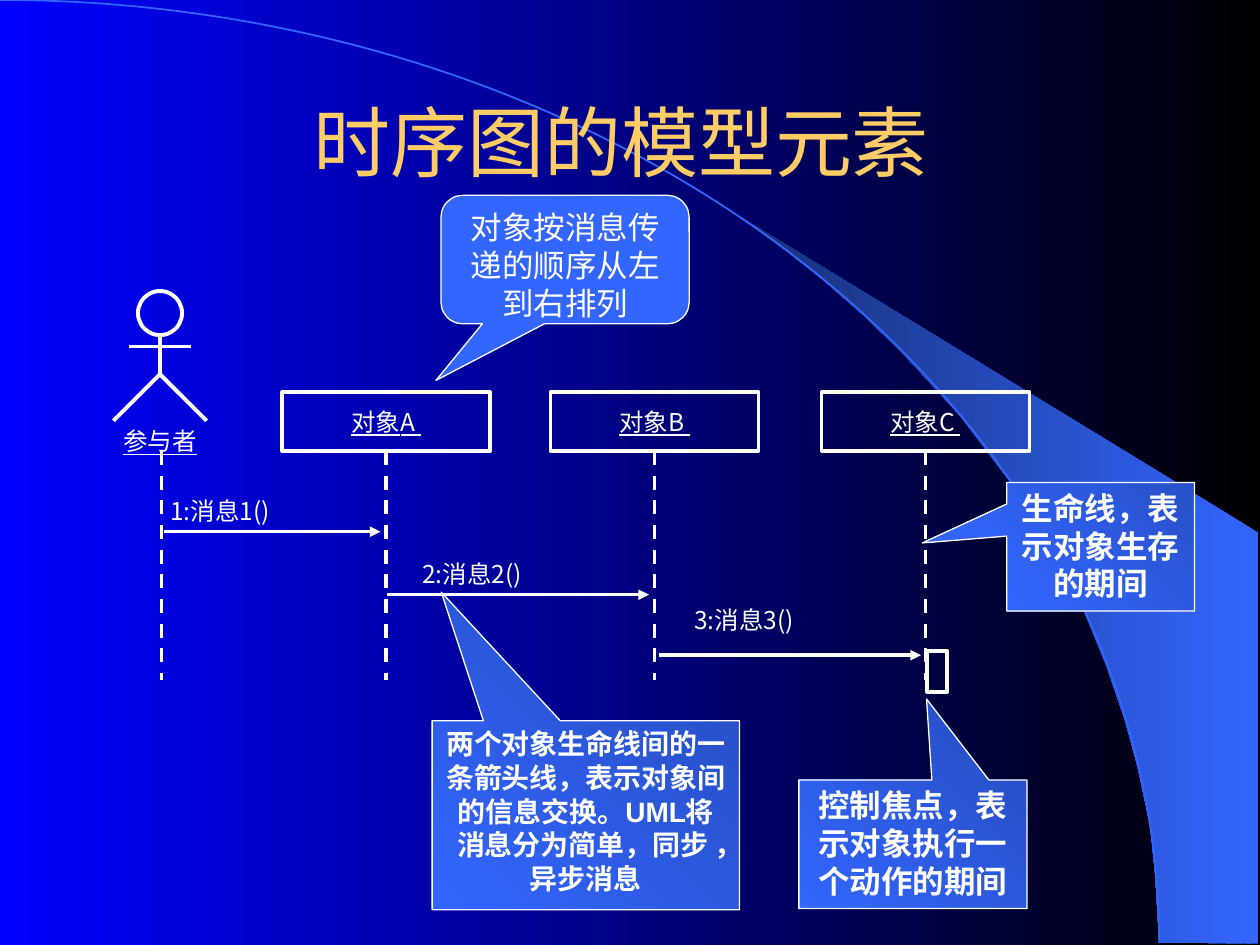
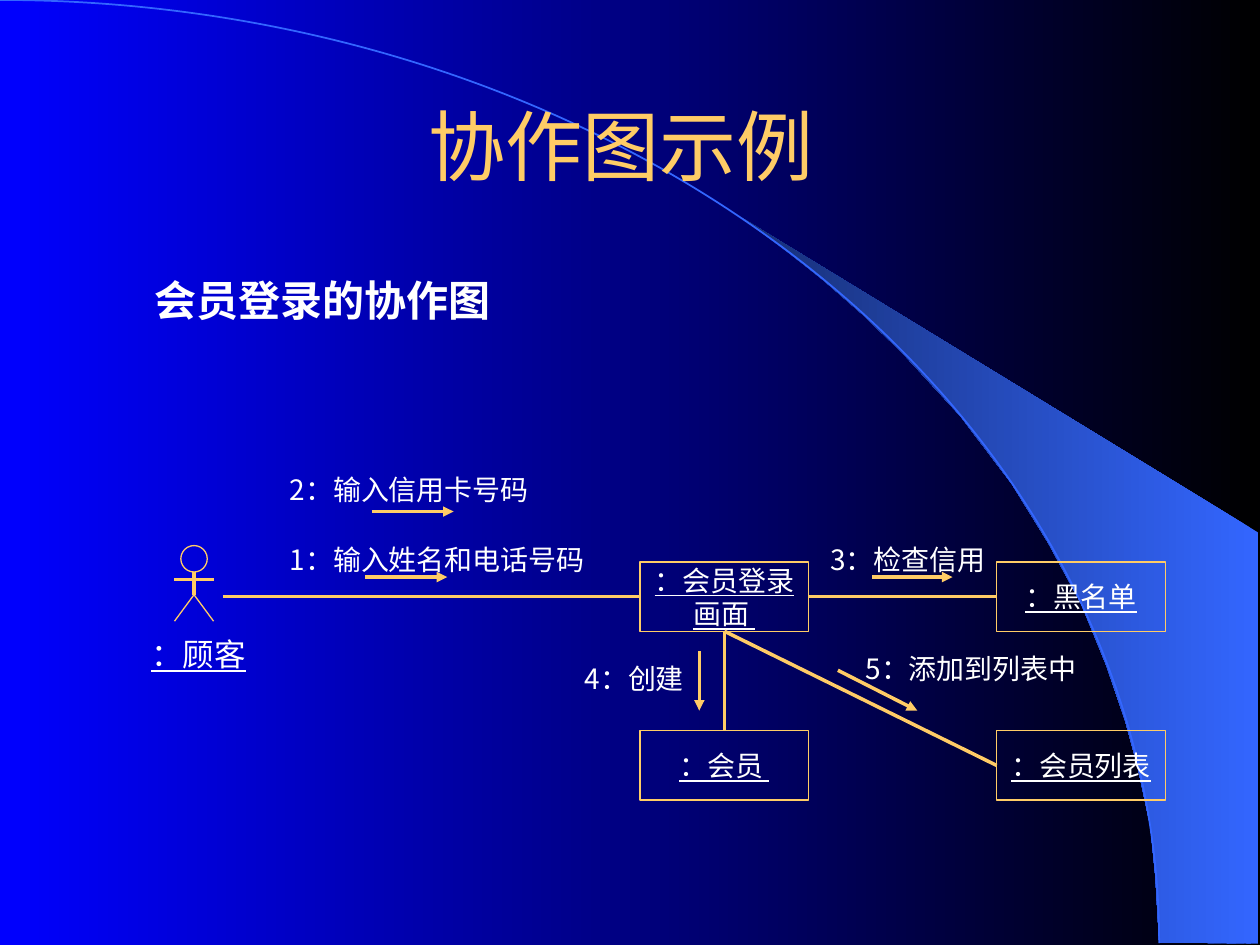
from dataclasses import dataclass

from lxml.etree import SubElement
from pptx import Presentation
from pptx.dml.color import RGBColor
from pptx.enum.dml import MSO_LINE
from pptx.enum.shapes import MSO_CONNECTOR, MSO_SHAPE
from pptx.enum.text import MSO_ANCHOR, PP_ALIGN
from pptx.oxml.ns import qn
from pptx.util import Inches, Pt

# Grid of 100 columns by 75 rows
COLUMNS, ROWS = 100, 75
CELL = Inches(10) / COLUMNS

WHITE, GOLD, SKY = "FFFFFF", "FFCC66", "3366FF"
NIGHT, BLUE, NAVY, ROYAL = "000000", "0000FF", "172F75", "2850C9"
CJK, LATIN = "Noto Sans CJK SC", "Arial"
TOP, LEFT, BOTTOM, RIGHT = range(4)

SWEEP = [(92, 74.8), (99.9, 74.9), (99.9, 42.3), (58.9, 17.3), (62.4, 19.9), (65.3, 22.2),
         (68.5, 25), (71.6, 28), (76.2, 33), (80.3, 38.4), (83.2, 43.1), (85.8, 47.9),
         (87.8, 52.8), (89.3, 57.2), (90.3, 60.9), (91.3, 65.6), (91.7, 69.6)]


@dataclass(frozen=True)
class Area:
    left: float
    top: float
    width: float
    height: float

    def lengths(self) -> list[int]:
        return [cells(n) for n in (self.left, self.top, self.width, self.height)]


@dataclass(frozen=True)
class Style:
    size: float
    color: str = WHITE
    font: str = CJK
    bold: bool = False
    underline: bool = False
    centered: bool = False
    middle: bool = False
    insets: tuple[float, float, float, float] = (0, 0, 0, 0)


@dataclass(frozen=True)
class Stroke:
    color: str
    width: float
    dashed: bool = False
    arrow: bool = False


@dataclass(frozen=True)
class Actor:
    center: float
    top: float
    head: float
    arms: float
    arm_reach: float
    hip: float
    foot: float
    leg_reach: float


@dataclass(frozen=True)
class Callout:
    text: str
    area: Area
    tip: tuple[float, ...]
    size: float
    rounded: bool = False


@dataclass(frozen=True)
class Message:
    text: str
    area: Area
    start: tuple[float, float]
    end: tuple[float, float]


PADDED = (1, 0.5, 1, 0.5)
TITLE = Style(44, GOLD, centered=True, middle=True, insets=PADDED)
OBJECT = Style(14, underline=True, centered=True, middle=True, insets=PADDED)
SEQUENCE_LABEL = Style(14, insets=(0, 0.4, 0, 0))
ACTOR_LABEL = Style(14, underline=True, insets=(0, 0.4, 0, 0.4))
NODE = Style(16, underline=True, centered=True, middle=True, insets=PADDED)
LINK_LABEL = Style(16)

SOLID = Stroke(WHITE, 2)
FIGURE = Stroke(WHITE, 2.25)
LIFELINE = Stroke(WHITE, 2, dashed=True)
CALL = Stroke(WHITE, 2, arrow=True)
HAIRLINE = Stroke(GOLD, 0)
HAIR_ARROW = Stroke(GOLD, 0, arrow=True)


def cells(count: float) -> int:
    return round(count * CELL)


def rgb(color: str) -> RGBColor:
    return RGBColor.from_string(color)


def apply_gradient(fill, first: str, last: str, angle: float) -> None:
    fill.gradient()
    fill.gradient_angle = angle
    for stop, color in zip(fill.gradient_stops, (first, last)):
        stop.color.rgb = rgb(color)


def apply_stroke(line, stroke: Stroke) -> None:
    line.color.rgb = rgb(stroke.color)
    line.width = Pt(stroke.width)
    if stroke.dashed:
        line.dash_style = MSO_LINE.DASH


def write(shape, text: str, style: Style) -> None:
    frame = shape.text_frame
    frame.text = text
    frame.word_wrap = True
    frame.vertical_anchor = MSO_ANCHOR.MIDDLE if style.middle else MSO_ANCHOR.TOP
    (frame.margin_left, frame.margin_top,
     frame.margin_right, frame.margin_bottom) = map(cells, style.insets)
    paragraph = frame.paragraphs[0]
    paragraph.alignment = PP_ALIGN.CENTER if style.centered else PP_ALIGN.LEFT
    for run in paragraph.runs:
        font = run.font
        font.size, font.name = Pt(style.size), style.font
        font.bold, font.underline = style.bold, style.underline
        font.color.rgb = rgb(style.color)
        SubElement(font._element, qn("a:ea"), typeface=CJK)


def add_label(slide, text: str, area: Area, style: Style) -> None:
    write(slide.shapes.add_textbox(*area.lengths()), text, style)


def add_outline(slide, kind, area: Area, stroke: Stroke):
    shape = slide.shapes.add_shape(kind, *area.lengths())
    shape.shadow.inherit = False
    shape.fill.background()
    apply_stroke(shape.line, stroke)
    return shape


def add_node(slide, text: str, area: Area, stroke: Stroke, style: Style):
    box = add_outline(slide, MSO_SHAPE.RECTANGLE, area, stroke)
    write(box, text, style)
    return box


def add_line(slide, start, end, stroke: Stroke):
    points = [cells(n) for n in (*start, *end)]
    connector = slide.shapes.add_connector(MSO_CONNECTOR.STRAIGHT, *points)
    apply_stroke(connector.line, stroke)
    if stroke.arrow:
        SubElement(connector.line._get_or_add_ln(), qn("a:tailEnd"), type="triangle")
    SubElement(connector._element.spPr, qn("a:effectLst"))
    return connector


def add_outline_path(slide, points, close: bool):
    first, *rest = [(cells(x), cells(y)) for x, y in points]
    builder = slide.shapes.build_freeform(*first)
    builder.add_line_segments(rest, close=close)
    shape = builder.convert_to_shape()
    shape.shadow.inherit = False
    return shape


def add_actor(slide, actor: Actor, stroke: Stroke) -> None:
    x, neck = actor.center, actor.top + actor.head
    add_outline(slide, MSO_SHAPE.OVAL,
                Area(x - actor.head / 2, actor.top, actor.head, actor.head), stroke)
    add_line(slide, (x, neck), (x, actor.hip), stroke)
    add_line(slide, (x - actor.arm_reach, actor.arms), (x + actor.arm_reach, actor.arms), stroke)
    legs = add_outline_path(slide, [(x - actor.leg_reach, actor.foot), (x, actor.hip),
                                    (x + actor.leg_reach, actor.foot)], close=False)
    legs.fill.background()
    apply_stroke(legs.line, stroke)


def add_callout(slide, callout: Callout) -> None:
    kind = (MSO_SHAPE.ROUNDED_RECTANGULAR_CALLOUT if callout.rounded
            else MSO_SHAPE.RECTANGULAR_CALLOUT)
    shape = add_outline(slide, kind, callout.area, Stroke(WHITE, 0.75))
    for index, value in enumerate(callout.tip):
        shape.adjustments[index] = value
    if callout.rounded:
        shape.fill.solid()
        shape.fill.fore_color.rgb = rgb(SKY)
    else:
        apply_gradient(shape.fill, ROYAL, SKY, 225)
    write(shape, callout.text, Style(callout.size, font=LATIN, bold=not callout.rounded,
                                     centered=True, insets=PADDED))


def add_messages(slide, messages: list[Message], stroke: Stroke, style: Style) -> None:
    for message in messages:
        add_line(slide, message.start, message.end, stroke)
        add_label(slide, message.text, message.area, style)


def add_themed_slide(presentation, title: str, title_height: float):
    slide = presentation.slides.add_slide(presentation.slide_layouts[6])
    apply_gradient(slide.background.fill, NIGHT, BLUE, 180)
    sweep = add_outline_path(slide, SWEEP, close=True)
    apply_gradient(sweep.fill, SKY, NAVY, 180)
    sweep.line.fill.background()
    add_outline(slide, MSO_SHAPE.ARC, Area(-92, 0, 184, 149.7), Stroke(SKY, 1))
    add_label(slide, title, Area(7.5, 6.7, 85, title_height), TITLE)
    return slide


def build_sequence_slide(presentation) -> None:
    slide = add_themed_slide(presentation, "时序图的模型元素 ", 8.9)
    life_top, life_bottom = 35.8, 54

    # Objects and their lifelines
    for name, left in (("A", 22.4), ("B", 43.7), ("C", 65.2)):
        area = Area(left, 31.1, 16.5, 4.7)
        box = add_node(slide, f"对象{name} ", area, SOLID, OBJECT)
        x = left + area.width / 2
        add_line(slide, (x, life_top), (x, life_bottom), LIFELINE).begin_connect(box, BOTTOM)

    # Participant
    add_actor(slide, Actor(12.7, 23.1, 3.5, 27.5, 2.45, 29.7, 33.4, 3.7), FIGURE)
    add_line(slide, (12.8, life_top), (12.8, life_bottom), LIFELINE)
    add_label(slide, "参与者", Area(9.8, 33.4, 6.8, 3.1), ACTOR_LABEL)

    # Messages, with the focus of control at the last one
    rows = ((13, 30.2, 42.2, 39), (30.7, 51.5, 47.2, 44), (52.3, 73.1, 52, 47.6))
    add_messages(slide, [
        Message(f"{number}:消息{number}()", Area(start + 0.5 if number == 1 else start + 2.8,
                                               label_top, 10.1, 2.7), (start, y), (end, y))
        for number, (start, end, y, label_top) in enumerate(rows, 1)], CALL, SEQUENCE_LABEL)
    add_outline(slide, MSO_SHAPE.RECTANGLE, Area(73.6, 51.7, 1.6, 3.2), FIGURE)

    # Explanations
    for callout in (
        Callout("生命线，表示对象生存的期间", Area(79.9, 38.3, 14.9, 10.2), (-0.95, -0.03), 18),
        Callout("两个对象生命线间的一条箭头线，表示对象间的信息交换。UML将消息分为简单，同步 ，异步消息",
                Area(34.3, 57.2, 24.4, 15), (-0.47, -1.18), 16),
        Callout("控制焦点，表示对象执行一个动作的期间",
                Area(63.4, 61.9, 18.1, 10.2), (0.06, -1.13), 18),
        Callout("对象按消息传递的顺序从左到右排列",
                Area(35, 15.5, 19.7, 10.2), (-0.52, 0.94, 0.17), 18, rounded=True),
    ):
        add_callout(slide, callout)


def build_collaboration_slide(presentation) -> None:
    slide = add_themed_slide(presentation, "协作图示例 ", 9.6)
    add_label(slide, "会员登录的协作图", Area(12.3, 21.8, 27.6, 4), Style(24, bold=True))

    # Customer
    add_actor(slide, Actor(15.4, 43.3, 2.1, 46, 1.55, 47.2, 49.3, 1.55), HAIRLINE)
    add_label(slide, "：顾客", Area(12, 50.4, 8.3, 3), Style(18, underline=True))

    # Objects on two columns and two rows
    (left, right), (upper, lower), width, height = (50.8, 79.1), (44.6, 58), 13.4, 5.5
    login, blacklist, member, member_list = [
        add_node(slide, text, Area(x, y, width, height), HAIRLINE, NODE)
        for text, x, y in (("：会员登录画面 ", left, upper), ("：黑名单", right, upper),
                           ("：会员 ", left, lower), ("：会员列表", right, lower))]

    # Links
    link_row = upper + height / 2
    add_line(slide, (17.7, link_row), (left, link_row), HAIRLINE).end_connect(login, LEFT)
    for side, target, target_side in ((RIGHT, blacklist, LEFT), (BOTTOM, member, TOP),
                                      (BOTTOM, member_list, LEFT)):
        link = add_line(slide, (left, upper), (right, lower), HAIRLINE)
        link.begin_connect(login, side)
        link.end_connect(target, target_side)

    # Messages along the links
    add_messages(slide, [
        Message("1：输入姓名和电话号码", Area(23, 43.1, 24.6, 2.7), (29, 45.8), (35.5, 45.8)),
        Message("2：输入信用卡号码", Area(23, 37.5, 20.2, 2.7), (29.5, 40.6), (36, 40.6)),
        Message("3：检查信用", Area(65.9, 43.1, 14, 2.7), (69.2, 45.8), (75.6, 45.8)),
        Message("4：创建", Area(46.4, 52.5, 9.1, 2.7), (55.5, 51.7), (55.5, 56.4)),
        Message("5：添加到列表中", Area(68.7, 51.7, 18, 2.7), (66.5, 53.2), (72.8, 56.4)),
    ], HAIR_ARROW, LINK_LABEL)


def main() -> None:
    presentation = Presentation()
    presentation.slide_width, presentation.slide_height = cells(COLUMNS), cells(ROWS)
    build_sequence_slide(presentation)
    build_collaboration_slide(presentation)
    presentation.save("out.pptx")


if __name__ == "__main__":
    main()
